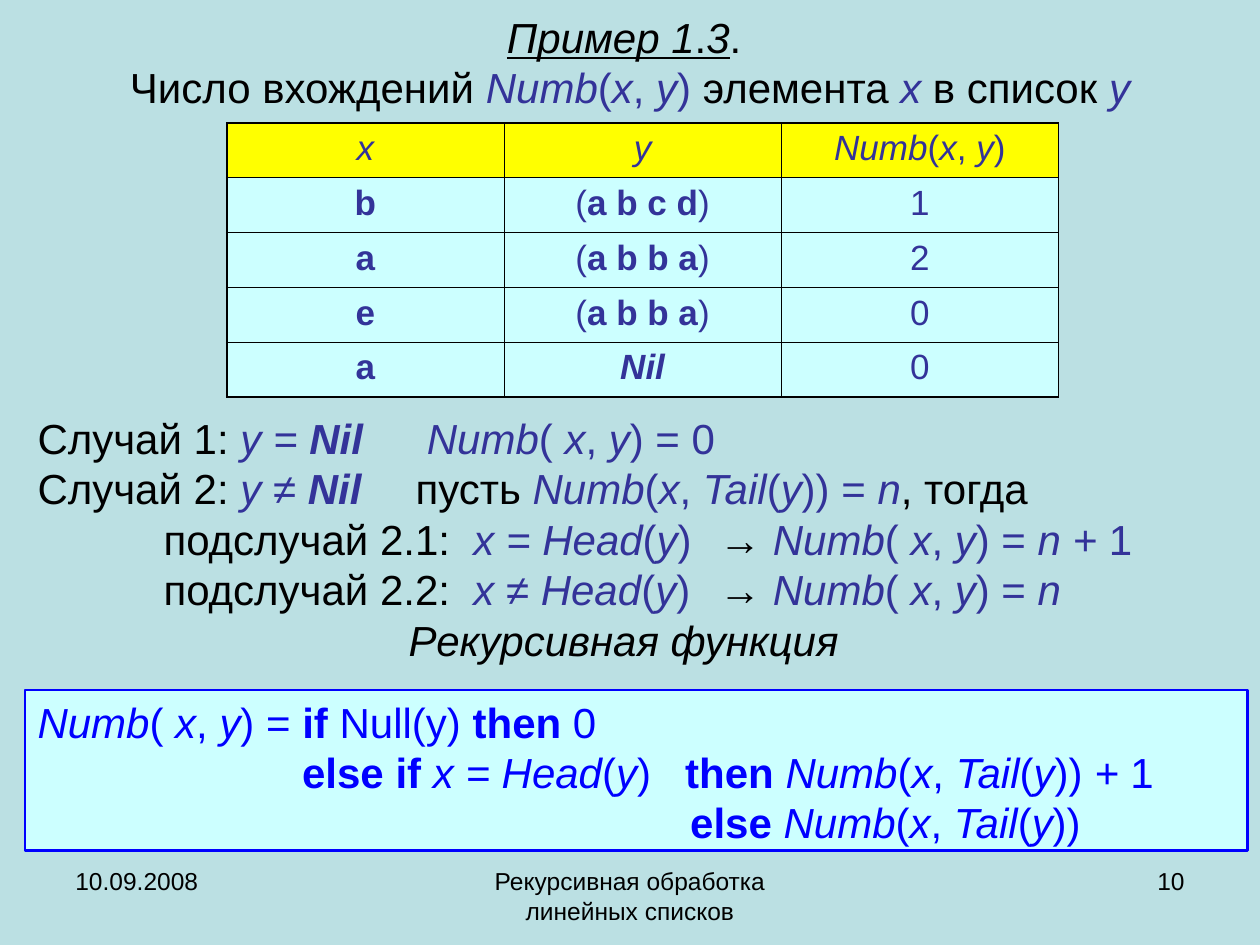
from dataclasses import dataclass

from lxml import etree
from pptx import Presentation
from pptx.dml.color import RGBColor
from pptx.enum.shapes import MSO_SHAPE
from pptx.enum.text import MSO_ANCHOR, PP_ALIGN
from pptx.oxml.ns import qn
from pptx.util import Inches, Pt

LEFT, CENTER, RIGHT = PP_ALIGN.LEFT, PP_ALIGN.CENTER, PP_ALIGN.RIGHT
TOP, MIDDLE = MSO_ANCHOR.TOP, MSO_ANCHOR.MIDDLE
RECTANGLE = MSO_SHAPE.RECTANGLE
WIDTH, HEIGHT = 10, 7.5
MARKS = {"_": "italic", "*": "bold", "|": "underline", "~": "accent"}


@dataclass(frozen=True)
class Theme:
    """Colours, font and type sizes of the slide."""
    font: str = "Arial"
    background: str = "BBE0E3"
    text: str = "000000"
    accent: str = "333399"
    code: str = "0000FF"
    panel: str = "CCFFFF"
    header: str = "FFFF00"
    body_size: int = 24
    table_size: int = 20
    footer_size: int = 14
    outer_border: float = 1.08
    inner_border: float = 0.45


THEME = Theme()

TITLE = ("|_Пример_ _1_._3_|. \n"
         "Число вхождений ~_Numb_(_x_, _y_) ~элемента ~_x_~ в список ~_y_~")

EXAMPLES = [
    ("_x_", "_y_", "_Numb_(_x_, _y_)"),
    ("*b*", "(*a b c d*)", "1"),
    ("*a*", "(*a b b a*)", "2"),
    ("*e*", "(*a b b a*)", "0"),
    ("*a*", "_*Nil*_", "0"),
]

CASES = [
    ("Случай 1: ~_y = *Nil*\tNumb_( _x_, _y_) = 0~", LEFT, [3.09]),
    ("Случай 2: ~_y ≠ *Nil*_~\tпусть ~_Numb_(_x_, _Tail_(_y_)) = _n_~, тогда", LEFT, [3]),
    ("\tподслучай 2.1:\t~_x = Head_(_y_)~\t→ ~_Numb_( _x_, _y_) = _n + _1~", LEFT, [1, 3.46, 5.41]),
    ("\tподслучай 2.2:\t~_x ≠ Head_(_y_)~\t→ ~_Numb_( _x_, _y_) = _n_~", LEFT, [1, 3.46, 5.41]),
    ("_Рекурсивная функция_", CENTER, []),
]

FUNCTION = [
    ("_Numb_( _x_, _y_) = *if* Null(y) *then* 0", LEFT, []),
    ("\t*else if *_x = Head_(_y_)\t*then *_Numb_(_x_, _Tail_(_y_)) _+ _1", LEFT, [2.1, 5.14]),
    ("\t*else *_Numb_(_x_, _Tail_(_y_))", LEFT, [5.18]),
]


def rgb(value):
    """Turn a hex string into a colour."""
    return RGBColor.from_string(value)


def span(left, top, width, height):
    """Turn shares of the slide's size into lengths."""
    return (Inches(left * WIDTH), Inches(top * HEIGHT),
            Inches(width * WIDTH), Inches(height * HEIGHT))


def add_run(paragraph, wording, size, colour, style):
    """Add one run with its own look."""
    run = paragraph.add_run()
    run.text = wording
    look = {"name": THEME.font, "size": Pt(size), **style}
    accent = look.pop("accent")
    for attribute, value in look.items():
        setattr(run.font, attribute, value)
    run.font.color.rgb = rgb(THEME.accent if accent else colour)


def write_marked(paragraph, marked, size, colour):
    """Split marked wording into runs and line breaks."""
    style = dict.fromkeys(MARKS.values(), False)
    wording = ""
    for symbol in marked + "\0":
        if symbol not in MARKS and symbol not in "\n\0":
            wording += symbol
            continue
        if wording:
            add_run(paragraph, wording, size, colour, style)
            wording = ""
        if symbol == "\n":
            paragraph.add_line_break()
        elif symbol in MARKS:
            style[MARKS[symbol]] = not style[MARKS[symbol]]


def set_tabs(paragraph, stops):
    """Give a paragraph left tab stops in inches."""
    tab_list = etree.SubElement(paragraph._p.get_or_add_pPr(), qn("a:tabLst"))
    for stop in stops:
        etree.SubElement(tab_list, qn("a:tab"), pos=str(Inches(stop)), algn="l")


def fill_frame(frame, lines, size, colour, anchor=TOP):
    """Write lines of wording, alignment and tab stops."""
    frame.word_wrap = True
    frame.vertical_anchor = anchor
    for index, (marked, alignment, stops) in enumerate(lines):
        paragraph = frame.add_paragraph() if index else frame.paragraphs[0]
        paragraph.alignment = alignment
        if stops:
            set_tabs(paragraph, stops)
        write_marked(paragraph, marked, size, colour)


def add_text(slide, area, lines, size, anchor=TOP):
    """Add a plain text box."""
    box = slide.shapes.add_textbox(*span(*area))
    fill_frame(box.text_frame, lines, size, THEME.text, anchor)


def add_panel(slide, area, lines):
    """Add the framed panel with the function."""
    panel = slide.shapes.add_shape(RECTANGLE, *span(*area))
    panel.shadow.inherit = False
    panel.fill.solid()
    panel.fill.fore_color.rgb = rgb(THEME.panel)
    panel.line.color.rgb = rgb(THEME.code)
    panel.line.width = Pt(1.5)
    fill_frame(panel.text_frame, lines, THEME.body_size, THEME.code)


def set_borders(cell, outer_sides):
    """Draw the four cell borders, heavier on the outer sides."""
    properties = cell._tc.get_or_add_tcPr()
    for index, (side, outer) in enumerate(outer_sides.items()):
        weight = THEME.outer_border if outer else THEME.inner_border
        border = etree.Element(qn(f"a:ln{side}"), w=str(Pt(weight)))
        solid = etree.SubElement(border, qn("a:solidFill"))
        etree.SubElement(solid, qn("a:srgbClr"), val=THEME.text)
        properties.insert(index, border)


def add_examples(slide, area, rows):
    """Add the table of examples with equal rows and columns."""
    row_count, column_count = len(rows), len(rows[0])
    table = slide.shapes.add_table(row_count, column_count, *span(*area)).table
    table.first_row = table.horz_banding = False
    for r, row in enumerate(rows):
        for c, marked in enumerate(row):
            cell = table.cell(r, c)
            cell.fill.solid()
            cell.fill.fore_color.rgb = rgb(THEME.panel if r else THEME.header)
            set_borders(cell, {"L": c == 0, "R": c == column_count - 1,
                               "T": r == 0, "B": r == row_count - 1})
            paragraph = cell.text_frame.paragraphs[0]
            paragraph.alignment = CENTER
            write_marked(paragraph, marked, THEME.table_size, THEME.accent)


def add_footer(slide):
    """Add date, subject and slide number along the bottom."""
    for left, width, wording, alignment in (
            (0.05, 0.23, "10.09.2008", LEFT),
            (0.34, 0.32, "Рекурсивная обработка линейных списков", CENTER),
            (0.72, 0.23, "10", RIGHT)):
        add_text(slide, (left, 0.91, width, 0.07), [(wording, alignment, [])],
                 THEME.footer_size)


def main():
    """Build and save the slide."""
    deck = Presentation()
    deck.slide_width, deck.slide_height = Inches(WIDTH), Inches(HEIGHT)
    slide = deck.slides.add_slide(deck.slide_layouts[6])
    slide.background.fill.solid()
    slide.background.fill.fore_color.rgb = rgb(THEME.background)
    add_text(slide, (0.05, 0, 0.9, 0.13), [(TITLE, CENTER, [])], THEME.body_size, MIDDLE)
    add_examples(slide, (0.18, 0.13, 0.66, 0.29), EXAMPLES)
    add_text(slide, (0.02, 0.43, 0.95, 0.28), CASES, THEME.body_size)
    add_panel(slide, (0.02, 0.73, 0.97, 0.17), FUNCTION)
    add_footer(slide)
    deck.save("out.pptx")


if __name__ == "__main__":
    main()
